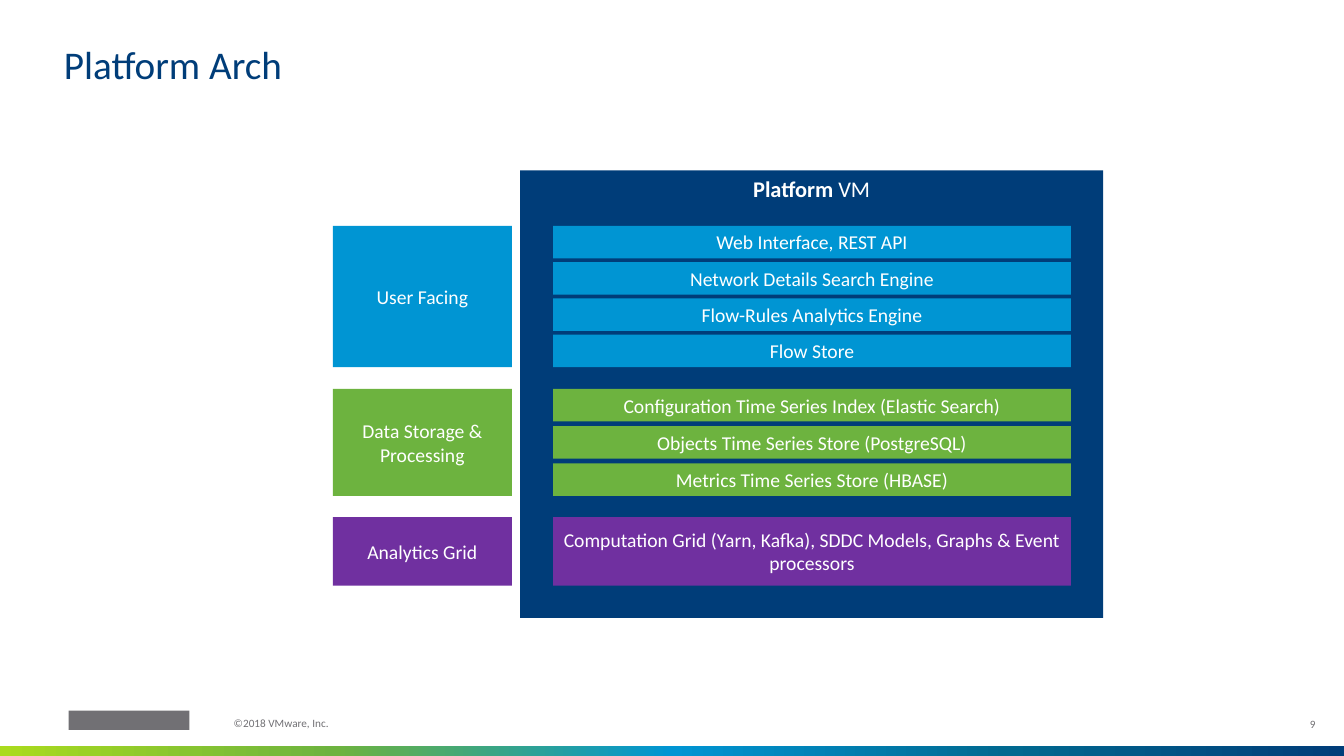
from lxml import etree
from pptx import Presentation
from pptx.enum import shapes, text
from pptx.dml.color import RGBColor
from pptx.oxml.ns import qn
from pptx.util import Pt

COLORS = {
    "navy": "003D79",
    "blue": "0095D3",
    "teal": "006990",
    "green": "6DB33F",
    "lime": "AADB1E",
    "purple": "7030A0",
    "grey": "717074",
    "white": "FFFFFF",
}
LEFT, CENTER, RIGHT = text.PP_ALIGN.LEFT, text.PP_ALIGN.CENTER, text.PP_ALIGN.RIGHT
TOP, MIDDLE, BOTTOM = text.MSO_ANCHOR.TOP, text.MSO_ANCHOR.MIDDLE, text.MSO_ANCHOR.BOTTOM


class SlideBuilder:
    font_name = "Calibri"

    def __init__(self, slide):
        self.slide = slide

    def rgb(self, color):
        return RGBColor.from_string(COLORS[color])

    def style(self, paragraph, size, color, align):
        paragraph.alignment = align
        paragraph.font.name = self.font_name
        paragraph.font.size = Pt(size)
        paragraph.font.color.rgb = self.rgb(color)

    def block(self, left, top, width, height, color):
        """Add a flat rectangle without outline."""
        block = self.slide.shapes.add_shape(
            shapes.MSO_SHAPE.RECTANGLE, Pt(left), Pt(top), Pt(width), Pt(height))
        block.shadow.inherit = False
        block.fill.solid()
        block.fill.fore_color.rgb = self.rgb(color)
        block.line.fill.background()
        return block

    def labelled_block(self, left, top, width, height, color, runs, size=14, anchor=MIDDLE):
        """Add a rectangle with centred white text; runs are (wording, bold) pairs."""
        frame = self.block(left, top, width, height, color).text_frame
        frame.word_wrap = True
        frame.vertical_anchor = anchor
        paragraph = frame.paragraphs[0]
        self.style(paragraph, size, "white", CENTER)
        for wording, bold in runs:
            run = paragraph.add_run()
            run.text = wording
            if bold:
                run.font.bold = True

    def gradient_band(self, left, top, width, height, colors):
        """Add a rectangle whose colours run evenly from left to right."""
        band = self.block(left, top, width, height, colors[0])
        band.fill.gradient()
        band.fill.gradient_angle = 0
        stops = band.fill._xPr.find(qn("a:gradFill")).find(qn("a:gsLst"))
        for stop in list(stops):
            stops.remove(stop)
        for i, color in enumerate(colors):
            stop = etree.SubElement(stops, qn("a:gs"), pos=str(100000 * i // (len(colors) - 1)))
            etree.SubElement(stop, qn("a:srgbClr"), val=COLORS[color])

    def caption(self, left, top, width, height, wording, size, color,
                align=LEFT, anchor=TOP, wrap=True):
        """Add a text box without margins."""
        frame = self.slide.shapes.add_textbox(
            Pt(left), Pt(top), Pt(width), Pt(height)).text_frame
        frame.margin_left = frame.margin_right = frame.margin_top = frame.margin_bottom = 0
        frame.word_wrap = wrap
        frame.vertical_anchor = anchor
        paragraph = frame.paragraphs[0]
        paragraph.text = wording
        paragraph.line_spacing = 0.9
        self.style(paragraph, size, color, align)


# name, colour, top, height, bar height, components
TIERS = [
    ("User Facing", "blue", 161.3, 101, 23.3, [
        "Web Interface, REST API",
        "Network Details Search Engine",
        "Flow-Rules Analytics Engine",
        "Flow Store",
    ]),
    ("Data Storage & Processing", "green", 277.8, 76.5, 23.3, [
        "Configuration Time Series Index (Elastic Search)",
        "Objects Time Series Store (PostgreSQL)",
        "Metrics Time Series Store (HBASE)",
    ]),
    ("Analytics Grid", "purple", 369.3, 49, 49, [
        "Computation Grid (Yarn, Kafka), SDDC Models, Graphs & Event processors",
    ]),
]
TIER_LEFT, TIER_WIDTH = 237.7, 128
BAR_LEFT, BAR_WIDTH = 395, 370


def main():
    presentation = Presentation()
    presentation.slide_width, presentation.slide_height = Pt(960), Pt(540)
    builder = SlideBuilder(presentation.slides.add_slide(presentation.slide_layouts[6]))

    builder.gradient_band(0, 532.8, 960, 7.2, ["lime", "green", "blue", "teal", "navy"])
    builder.block(49, 507.6, 86.4, 13.7, "grey")
    builder.caption(905, 503.3, 34.6, 28.8, "9", 8, "grey", RIGHT, MIDDLE)
    builder.caption(167, 512.6, 155, 11.5, "©2018 VMware, Inc.", 8, "grey")
    builder.caption(45.7, 32.4, 866, 30.2, "Platform Arch", 28, "navy", anchor=BOTTOM, wrap=False)

    builder.labelled_block(371.5, 121.7, 416.5, 319.7, "navy",
                           [("Platform", True), (" VM", False)], size=16, anchor=TOP)
    for name, color, top, height, bar_height, components in TIERS:
        builder.labelled_block(TIER_LEFT, top, TIER_WIDTH, height, color, [(name, False)])
        pitch = (height - bar_height) / max(len(components) - 1, 1)
        for i, component in enumerate(components):
            builder.labelled_block(BAR_LEFT, top + i * pitch, BAR_WIDTH, bar_height, color,
                                   [(component, False)])

    presentation.save("out.pptx")


if __name__ == "__main__":
    main()
